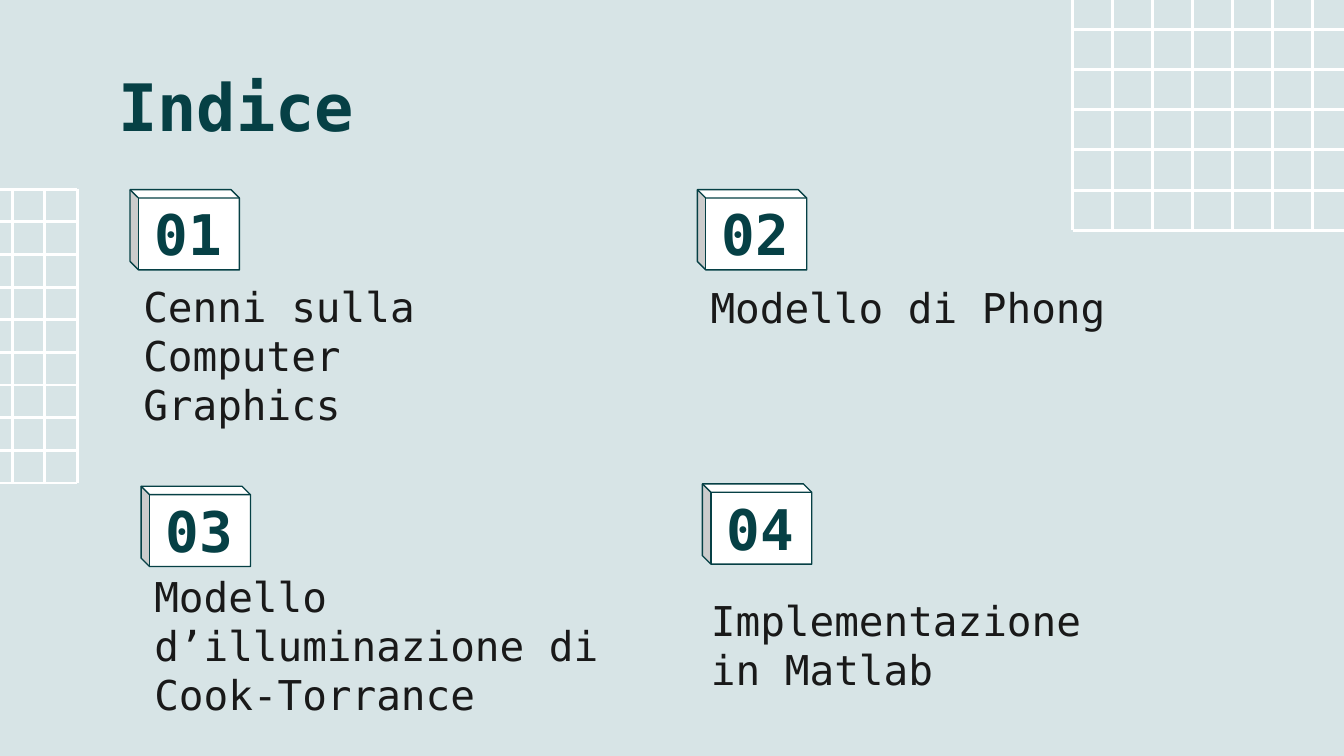
from lxml import etree
from pptx import Presentation
from pptx.dml.color import RGBColor
from pptx.enum import shapes, text
from pptx.oxml import ns
from pptx.util import Pt

COLORS = {"background": "D7E4E6", "grid": "FFFFFF", "cube": "FFFFFF", "accent": "064045", "body": "191919"}
FONT = "DejaVu Sans Mono"
WIDTH, HEIGHT = 720, 405
CUBE_WIDTH, CUBE_HEIGHT = 58.6, 43
LINE_HEIGHT = 28.8


def color(name):
    return RGBColor.from_string(COLORS[name])


def add_line(slide, x1, y1, x2, y2):
    line = slide.shapes.add_connector(shapes.MSO_CONNECTOR.STRAIGHT, Pt(x1), Pt(y1), Pt(x2), Pt(y2))
    line.line.color.rgb = color("grid")
    line.line.width = Pt(1.5)
    etree.SubElement(line._element.spPr, ns.qn("a:effectLst"))


def add_grid(slide, left, top, width, height, columns, rows):
    right, bottom = left + width, top + height
    for y in rows:
        add_line(slide, left, top + y, right, top + y)
    for x in columns:
        add_line(slide, left + x, top, left + x, bottom)


def add_text(slide, left, top, width, height, words, size, tint, anchor, bold=False):
    box = slide.shapes.add_textbox(Pt(left), Pt(top), Pt(width), Pt(height))
    frame = box.text_frame
    frame.word_wrap = True
    frame.vertical_anchor = anchor
    frame.margin_left = frame.margin_right = frame.margin_top = frame.margin_bottom = Pt(7.2)
    frame.text = words
    font = frame.paragraphs[0].runs[0].font
    font.name, font.size, font.bold = FONT, Pt(size), bold
    font.color.rgb = color(tint)


def add_number(slide, left, top, number):
    cube = slide.shapes.add_shape(
        shapes.MSO_SHAPE.CUBE, Pt(left), Pt(top), Pt(CUBE_WIDTH), Pt(CUBE_HEIGHT))
    cube.adjustments[0] = 0.105
    cube._element.spPr.get_or_add_xfrm().set("flipH", "1")
    cube.shadow.inherit = False
    cube.fill.solid()
    cube.fill.fore_color.rgb = color("cube")
    cube.line.color.rgb = color("accent")
    cube.line.width = Pt(0.75)
    add_text(slide, left + 6, top + 9.1, 64, LINE_HEIGHT, number, 30, "accent",
             text.MSO_ANCHOR.MIDDLE, bold=True)


def add_topic(slide, left, top, number, caption, caption_left, caption_top, caption_width):
    add_number(slide, left, top, number)
    add_text(slide, left + caption_left, top + caption_top, caption_width, LINE_HEIGHT,
             caption, 22, "body", text.MSO_ANCHOR.BOTTOM)


def build_index(slide):
    slide.background.fill.solid()
    slide.background.fill.fore_color.rgb = color("background")

    left_width, left_step = 156, 17.48
    add_grid(slide, 41.5 - left_width, 101.4, left_width, 9 * left_step,
             [left_width - i * left_step for i in range(3)], [i * left_step for i in range(10)])
    right_height, right_step = 193.9, 21.54
    add_grid(slide, 574.6, 123.4 - right_height, 193, right_height,
             [i * 21.43 for i in range(7)], [right_height - i * right_step for i in range(6)])

    add_text(slide, 56.2, 31, 607.7, 50.4, "Indice", 35, "accent", text.MSO_ANCHOR.MIDDLE, bold=True)

    topics = [
        (69.7, 101.6, "Cenni sulla Computer Graphics", 0, 106.7, 179.3),
        (373.6, 101.6, "Modello di Phong", 0, 54.6, 256.3),
        (75.6, 260.5, "Modello d’illuminazione di Cook-Torrance", 0, 103.1, 256.3),
        (376.3, 259.2, "Implementazione in Matlab", -2.5, 90.9, 219.6),
    ]
    for index, (left, top, caption, *caption_box) in enumerate(topics, 1):
        add_topic(slide, left, top, f"{index:02d}", caption, *caption_box)


def main():
    deck = Presentation()
    deck.slide_width, deck.slide_height = Pt(WIDTH), Pt(HEIGHT)
    build_index(deck.slides.add_slide(deck.slide_layouts[6]))
    deck.save("out.pptx")


if __name__ == "__main__":
    main()
